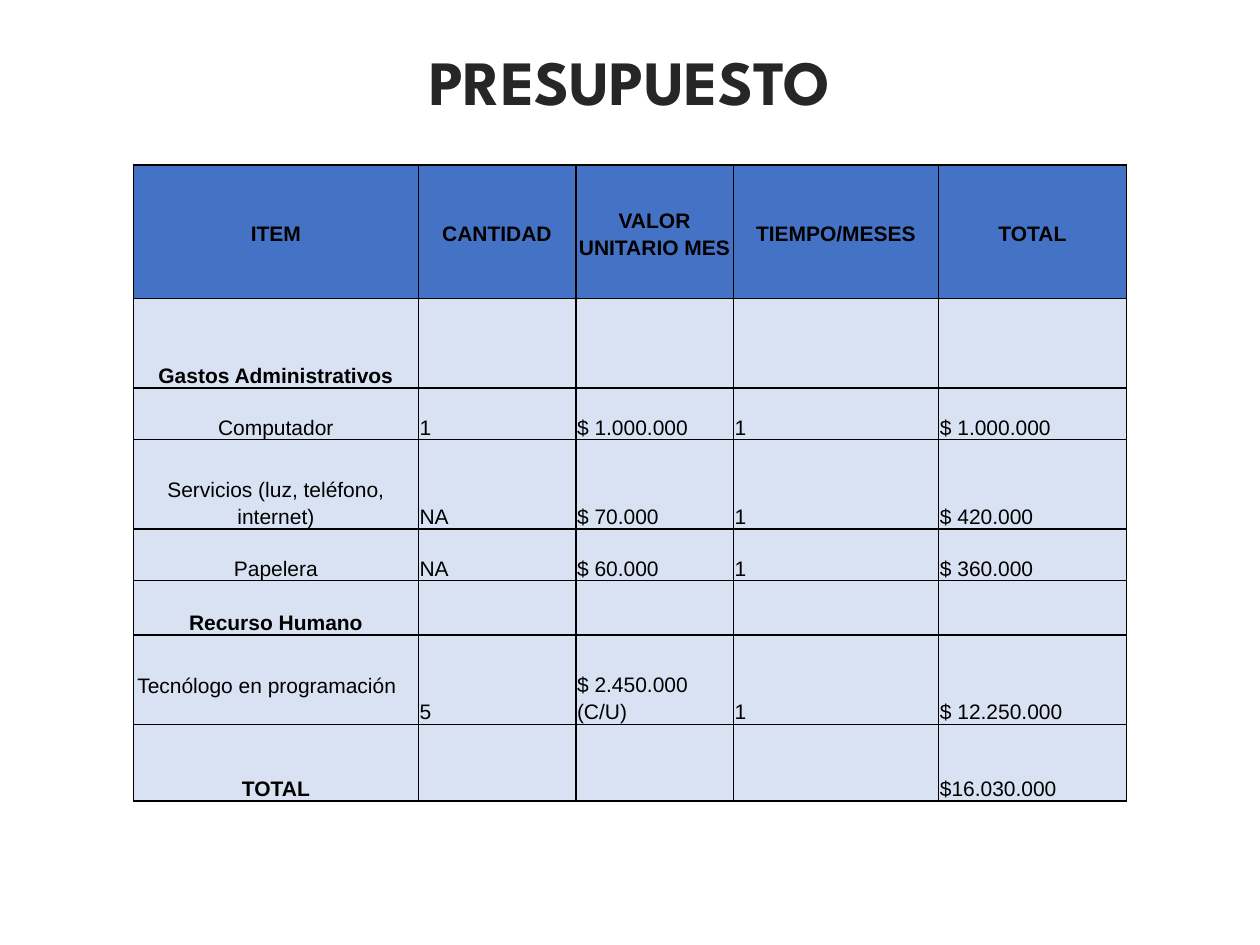
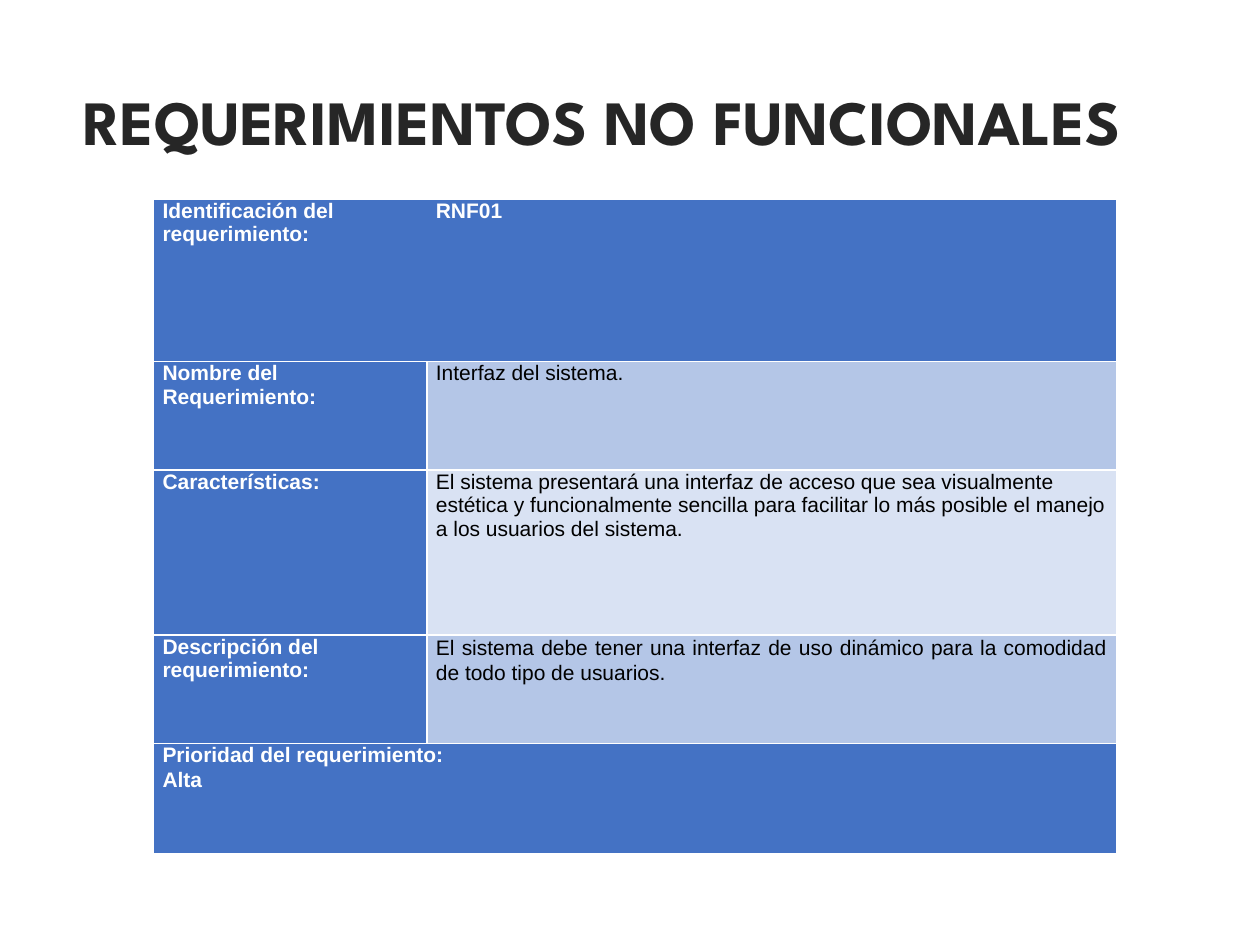
from lxml import etree
from pptx import Presentation
from pptx.dml.color import RGBColor
from pptx.enum.text import MSO_ANCHOR, PP_ALIGN
from pptx.oxml.ns import qn
from pptx.util import Inches, Pt

LEFT, CENTER, JUSTIFY = PP_ALIGN.LEFT, PP_ALIGN.CENTER, PP_ALIGN.JUSTIFY
TOP, MIDDLE, BOTTOM = MSO_ANCHOR.TOP, MSO_ANCHOR.MIDDLE, MSO_ANCHOR.BOTTOM

COLORS = {
    "title": "262626",
    "black": "000000",
    "white": "FFFFFF",
    "header": "4472C4",
    "pale": "D9E2F3",
    "medium": "B4C6E7",
}
TITLE_FONT = {"name": "League Spartan", "size": Pt(36), "bold": True}
BODY_FONT = {"name": "Arial", "size": Pt(12), "bold": False}
ALL_SIDES = ("L", "R", "T", "B")

BUDGET_COLUMNS = (22.6, 12.5, 12.5, 16.3, 14.9)
BUDGET_HEIGHTS = (10.6, 7.1, 4.1, 7.1, 4.1, 4.3, 7.1, 6.1)
BUDGET = (
    ("ITEM", "CANTIDAD", "VALOR UNITARIO MES", "TIEMPO/MESES", "TOTAL"),
    ("Gastos Administrativos", "", "", "", ""),
    ("Computador", "1", "$ 1.000.000", "1", "$ 1.000.000"),
    ("Servicios (luz, teléfono, internet)", "NA", "$ 70.000", "1", "$ 420.000"),
    ("Papelera", "NA", "$ 60.000", "1", "$ 360.000"),
    ("Recurso Humano", "", "", "", ""),
    ("Tecnólogo en programación", "5", "$ 2.450.000 (C/U)", "1", "$ 12.250.000"),
    ("TOTAL", "", "", "", "$16.030.000"),
)
BUDGET_SECTIONS = ("Gastos Administrativos", "Recurso Humano", "TOTAL")
STAFF_ROW = 6

REQUIREMENT_COLUMNS = (21.7, 54.7)
REQUIREMENT_HEIGHTS = (12.9, 8.6, 13.1, 8.6, 8.8)
REQUIREMENT = (
    ("Identificación del requerimiento:", "RNF01"),
    ("Nombre del Requerimiento:", "Interfaz del sistema."),
    ("Características:",
     "El sistema presentará una interfaz de acceso que sea visualmente estética y "
     "funcionalmente sencilla para facilitar lo más posible el manejo a los usuarios "
     "del sistema."),
    ("Descripción del requerimiento:",
     "El sistema debe tener una interfaz de uso dinámico para la comodidad de todo "
     "tipo de usuarios."),
    ("Prioridad del requerimiento:\nAlta", ""),
)
DESCRIPTION_ROW = 3


def unit(count):
    """Length of a number of cells on the 100 by 75 slide grid."""
    return Inches(count / 10)


def apply(target, values):
    for name, value in values.items():
        setattr(target, name, value)


class DeckBuilder:
    def __init__(self):
        self.deck = Presentation()
        self.deck.slide_width, self.deck.slide_height = unit(100), unit(75)
        self.page = None

    def add_page(self):
        self.page = self.deck.slides.add_slide(self.deck.slide_layouts[6])

    def set_text(self, frame, text, font, color, align=LEFT, spacing=1.0):
        """Fill a text frame, one paragraph for each line of text."""
        for index, line in enumerate(text.split("\n")):
            para = frame.add_paragraph() if index else frame.paragraphs[0]
            apply(para, {"alignment": align, "line_spacing": spacing})
            targets = [para]
            if line:
                span = para.add_run()
                span.text = line
                targets.append(span)
            for target in targets:
                apply(target.font, font)
                target.font.color.rgb = RGBColor.from_string(COLORS[color])

    def add_title(self, text, left, top):
        box = self.page.shapes.add_textbox(unit(left), unit(top), unit(90), unit(6.7))
        apply(box.text_frame, {"word_wrap": True, "vertical_anchor": MIDDLE})
        self.set_text(box.text_frame, text, TITLE_FONT, "title", CENTER)

    def add_table(self, left, top, columns, heights):
        frame = self.page.shapes.add_table(
            len(heights), len(columns), unit(left), unit(top),
            unit(sum(columns)), unit(sum(heights)))
        table = frame.table
        apply(table, {"first_row": False, "horz_banding": False})
        for column, width in zip(table.columns, columns):
            column.width = unit(width)
        for row, height in zip(table.rows, heights):
            row.height = unit(height)
        return table

    def set_borders(self, cell, color, hidden=()):
        properties = cell._tc.get_or_add_tcPr()
        for side in ALL_SIDES:
            line = etree.SubElement(properties, qn(f"a:ln{side}"), w=str(Pt(1)))
            if side in hidden:
                etree.SubElement(line, qn("a:noFill"))
            else:
                fill = etree.SubElement(line, qn("a:solidFill"))
                etree.SubElement(fill, qn("a:srgbClr"), val=COLORS[color])

    def fill_cell(self, cell, text, fill, border, layout, bold=False,
                  color="black", align=LEFT, spacing=1.0, hidden=()):
        self.set_borders(cell, border, hidden)
        cell.fill.solid()
        cell.fill.fore_color.rgb = RGBColor.from_string(COLORS[fill])
        apply(cell, layout)
        self.set_text(cell.text_frame, text, {**BODY_FONT, "bold": bold},
                      color, align, spacing)


def cell_layout(side, top, bottom, anchor):
    return {"margin_left": unit(side), "margin_right": unit(side),
            "margin_top": unit(top), "margin_bottom": unit(bottom),
            "vertical_anchor": anchor}


def build_budget(builder):
    builder.add_page()
    builder.add_title("PRESUPUESTO", 5, 3)
    table = builder.add_table(10.6, 13.1, BUDGET_COLUMNS, BUDGET_HEIGHTS)
    for row, texts in enumerate(BUDGET):
        for column, text in enumerate(texts):
            is_header = row == 0
            is_staff = row == STAFF_ROW and column == 0
            layout = cell_layout(0.1, 0.1, 0, MIDDLE if is_header else BOTTOM)
            if is_staff:
                layout = cell_layout(0.3, 0.1, 2.1, BOTTOM)
            centered = is_header or (column == 0 and not is_staff)
            builder.fill_cell(
                table.cell(row, column), text,
                "header" if is_header else "pale", "black", layout,
                bold=is_header or text in BUDGET_SECTIONS,
                align=CENTER if centered else LEFT, spacing=1.15)


def build_requirement(builder):
    builder.add_page()
    builder.add_title("REQUERIMIENTOS NO FUNCIONALES", 2.8, 6.2)
    table = builder.add_table(12.2, 15.8, REQUIREMENT_COLUMNS, REQUIREMENT_HEIGHTS)
    last_row = len(REQUIREMENT) - 1
    table.cell(last_row, 0).merge(table.cell(last_row, 1))
    layout = cell_layout(0.7, 0, 0, TOP)
    for row, texts in enumerate(REQUIREMENT):
        for column, text in enumerate(texts):
            is_header = column == 0 or row in (0, last_row)
            is_description = row == DESCRIPTION_ROW and column == 1
            body_fill = "medium" if row % 2 else "pale"
            inner_side = "L" if column else "R"
            builder.fill_cell(
                table.cell(row, column), text,
                "header" if is_header else body_fill, "white", layout,
                bold=is_header, color="white" if is_header else "black",
                align=JUSTIFY if is_description else LEFT,
                spacing=1.07 if is_description else 1.0,
                hidden=inner_side if row == 0 else ())
    table.cell(last_row, 0).text_frame.paragraphs[1].line_spacing = 1.07


def main():
    builder = DeckBuilder()
    build_budget(builder)
    build_requirement(builder)
    builder.deck.save("out.pptx")


if __name__ == "__main__":
    main()
